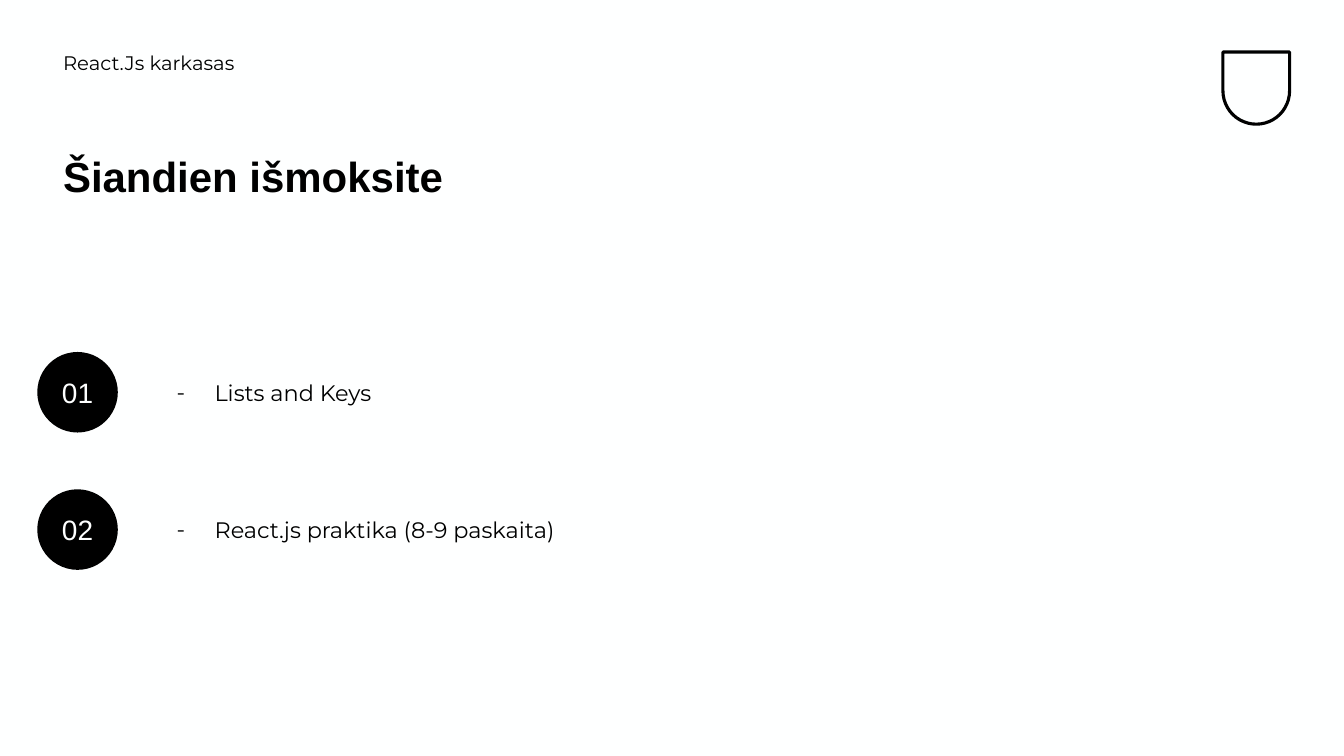
from dataclasses import dataclass

from lxml import etree
from pptx import Presentation
from pptx import util as u
from pptx.dml import color as c
from pptx.enum import shapes, text
from pptx.oxml import ns


@dataclass(frozen=True)
class Theme:
    ink: c.RGBColor = c.RGBColor(0x00, 0x00, 0x00)
    paper: c.RGBColor = c.RGBColor(0xFE, 0xFF, 0xFF)
    heading_font: str = "Arial"
    body_font: str = "Montserrat"
    course_size: float = 14
    title_size: float = 30
    topic_size: float = 16
    number_size: float = 20
    crest_line: float = 2.25


@dataclass(frozen=True)
class Box:
    left: float
    top: float
    width: float
    height: float

    def lengths(self) -> tuple:
        return u.Cm(self.left), u.Cm(self.top), u.Cm(self.width), u.Cm(self.height)


@dataclass(frozen=True)
class Topic:
    number: str
    wording: str


THEME = Theme()
TOPICS = [
    Topic("01", "Lists and Keys"),
    Topic("02", "React.js praktika (8-9 paskaita)"),
]
FIRST_TOPIC_TOP = 8.87
TOPIC_PITCH = 3.46
TOPIC_HEIGHT = 2.03


def apply(target, formats: dict) -> None:
    for attribute, setting in formats.items():
        setattr(target, attribute, setting)


def write(shape, wording: str, font: str, size: float, color: c.RGBColor = THEME.ink,
          bold: bool = False, anchor=text.MSO_ANCHOR.TOP,
          align=text.PP_ALIGN.LEFT, spacing: float = 1.0, dash: bool = False) -> None:
    frame = shape.text_frame
    apply(frame, {"word_wrap": True, "vertical_anchor": anchor})
    paragraph = frame.paragraphs[0]
    paragraph.text = wording
    apply(paragraph, {"alignment": align, "line_spacing": spacing})
    if dash:
        add_dash(paragraph, font, size)
    apply(paragraph.runs[0].font, {"name": font, "size": u.Pt(size), "bold": bold})
    paragraph.runs[0].font.color.rgb = color


def add_dash(paragraph, font: str, size: float) -> None:
    properties = paragraph._p.get_or_add_pPr()
    properties.set("marL", str(u.Cm(1.27)))
    properties.set("indent", str(u.Cm(-0.96)))
    dash_color = etree.SubElement(properties, ns.qn("a:buClr"))
    etree.SubElement(dash_color, ns.qn("a:srgbClr"), val=str(THEME.ink))
    etree.SubElement(properties, ns.qn("a:buSzPts"), val=str(int(size * 100)))
    etree.SubElement(properties, ns.qn("a:buFont"), typeface=font)
    etree.SubElement(properties, ns.qn("a:buChar"), char="-")


def draw_crest(slide) -> None:
    crest = slide.shapes.add_shape(
        shapes.MSO_SHAPE.ROUND_2_SAME_RECTANGLE, *Box(30.82, 1.31, 1.68, 1.82).lengths())
    crest.shadow.inherit = False
    crest.adjustments[0] = 0
    crest.adjustments[1] = 0.5
    crest.fill.background()
    crest.line.color.rgb = THEME.ink
    crest.line.width = u.Pt(THEME.crest_line)


def draw_topic(slide, topic: Topic, top: float) -> None:
    wording = slide.shapes.add_textbox(*Box(3.89, top, 11.76, TOPIC_HEIGHT).lengths())
    write(wording, topic.wording, THEME.body_font, THEME.topic_size,
          anchor=text.MSO_ANCHOR.MIDDLE, dash=True)
    badge = slide.shapes.add_shape(
        shapes.MSO_SHAPE.OVAL, *Box(0.94, top, TOPIC_HEIGHT, TOPIC_HEIGHT).lengths())
    badge.shadow.inherit = False
    badge.fill.solid()
    badge.fill.fore_color.rgb = THEME.ink
    badge.line.fill.background()
    write(badge, topic.number, THEME.heading_font, THEME.number_size, THEME.paper,
          anchor=text.MSO_ANCHOR.MIDDLE, align=text.PP_ALIGN.CENTER)


def main() -> None:
    deck = Presentation()
    apply(deck, {"slide_width": u.Cm(33.87), "slide_height": u.Cm(19.05)})
    slide = deck.slides.add_slide(deck.slide_layouts[6])
    slide.background.fill.solid()
    slide.background.fill.fore_color.rgb = THEME.paper

    draw_crest(slide)
    course = slide.shapes.add_textbox(*Box(1.34, 1.27, 15.6, 1.27).lengths())
    write(course, "React.Js karkasas", THEME.body_font, THEME.course_size, spacing=0.8)
    title = slide.shapes.add_textbox(*Box(1.34, 3.81, 14.33, 3.78).lengths())
    write(title, "Šiandien išmoksite", THEME.heading_font, THEME.title_size,
          bold=True, spacing=0.9)
    for row, topic in enumerate(TOPICS):
        draw_topic(slide, topic, FIRST_TOPIC_TOP + row * TOPIC_PITCH)

    deck.save("out.pptx")


if __name__ == "__main__":
    main()
